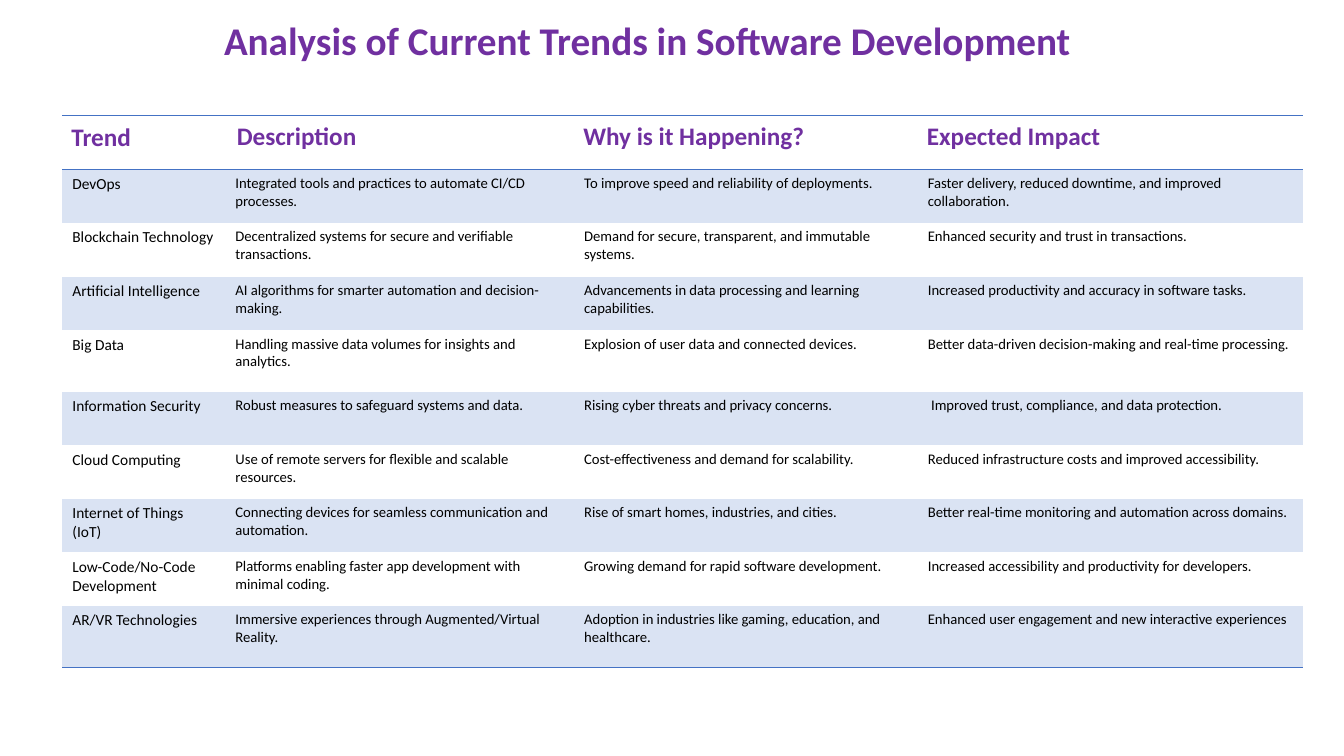
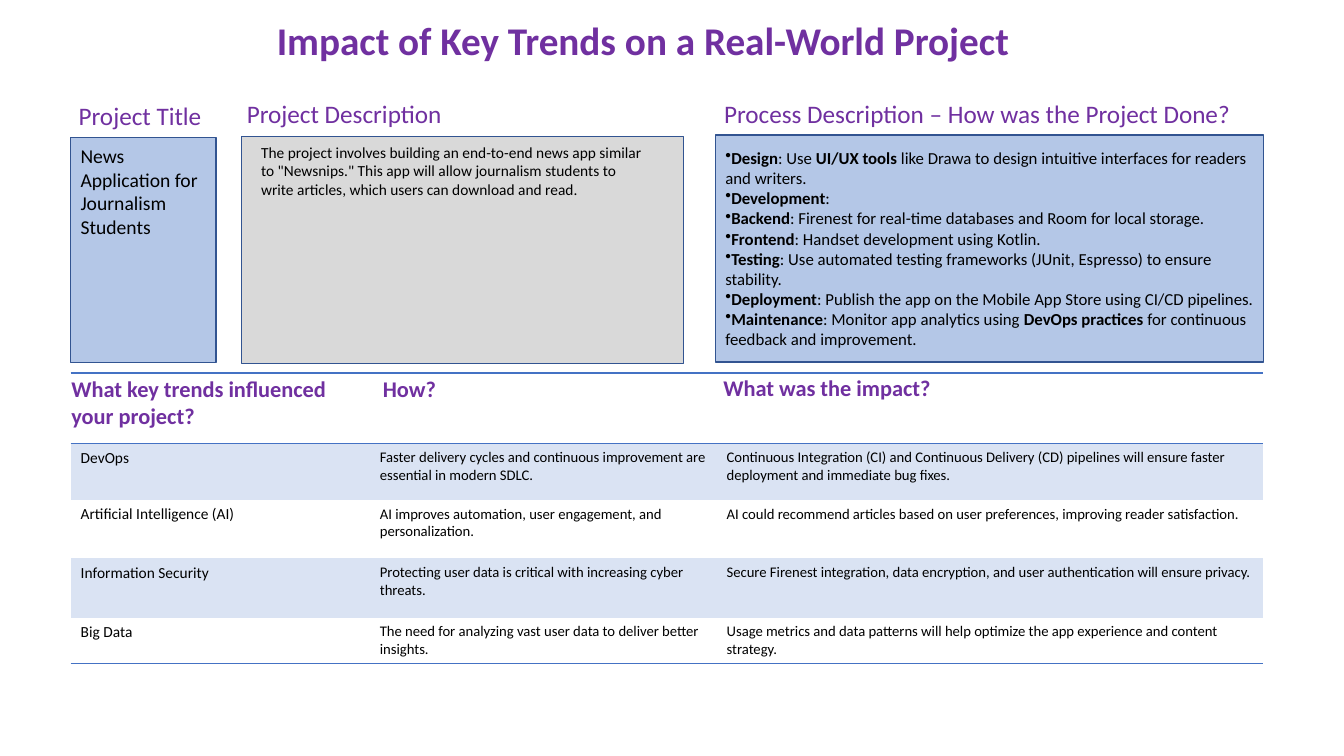
from lxml import etree
from pptx import Presentation
from pptx.dml.color import RGBColor
from pptx.enum.shapes import MSO_SHAPE
from pptx.enum.text import MSO_ANCHOR, PP_ALIGN
from pptx.oxml.ns import qn
from pptx.util import Cm, Pt

RECTANGLE = MSO_SHAPE.RECTANGLE
TOP, MIDDLE = MSO_ANCHOR.TOP, MSO_ANCHOR.MIDDLE
LEFT, CENTER = PP_ALIGN.LEFT, PP_ALIGN.CENTER

FONT = "Calibri"
PURPLE = RGBColor(0x70, 0x30, 0xA0)
BLACK = RGBColor(0x00, 0x00, 0x00)
RULE_BLUE = RGBColor(0x44, 0x72, 0xC4)
BAND_BLUE = RGBColor(0xDA, 0xE3, 0xF3)
PANEL_BLUE = RGBColor(0xB4, 0xC7, 0xE7)
PANEL_GREY = RGBColor(0xD9, 0xD9, 0xD9)
PANEL_EDGE = RGBColor(0x32, 0x54, 0x91)
PLAIN_TABLE_STYLE = "{2D5ABB26-0587-4C30-8999-92F81FD0307C}"

# Slide 1 content: heading text with left, top and width in cm
TREND_HEADINGS = [
    ("Trend", 1.55, 2.92, 3.15),
    ("Description", 5.72, 2.9, 3.91),
    ("Why is it Happening?", 14.45, 2.9, 6.96),
    ("Expected Impact", 23.11, 2.9, 6.15),
]
TRENDS = [
    ("DevOps",
     "Integrated tools and practices to automate CI/CD processes.",
     "To improve speed and reliability of deployments.",
     "Faster delivery, reduced downtime, and improved collaboration."),
    ("Blockchain Technology",
     "Decentralized systems for secure and verifiable transactions.",
     "Demand for secure, transparent, and immutable systems.",
     "Enhanced security and trust in transactions."),
    ("Artificial Intelligence",
     "AI algorithms for smarter automation and decision-making.",
     "Advancements in data processing and learning capabilities.",
     "Increased productivity and accuracy in software tasks."),
    ("Big Data",
     "Handling massive data volumes for insights and analytics.",
     "Explosion of user data and connected devices.",
     "Better data-driven decision-making and real-time processing."),
    ("Information Security",
     "Robust measures to safeguard systems and data.",
     "Rising cyber threats and privacy concerns.",
     " Improved trust, compliance, and data protection."),
    ("Cloud Computing",
     "Use of remote servers for flexible and scalable resources.",
     "Cost-effectiveness and demand for scalability.",
     "Reduced infrastructure costs and improved accessibility."),
    ("Internet of Things (IoT)",
     "Connecting devices for seamless communication and automation.",
     "Rise of smart homes, industries, and cities.",
     "Better real-time monitoring and automation across domains."),
    ("Low-Code/No-Code Development",
     "Platforms enabling faster app development with minimal coding.",
     "Growing demand for rapid software development.",
     "Increased accessibility and productivity for developers."),
    ("AR/VR Technologies",
     "Immersive experiences through Augmented/Virtual Reality.",
     "Adoption in industries like gaming, education, and healthcare.",
     "Enhanced user engagement and new interactive experiences"),
]

# Slide 2 content
PROJECT_LABELS = [
    ("Project Title", 1.5, 2.41, 4.06),
    ("Project Description", 5.79, 2.36, 5.77),
    ("Process Description – How was the Project Done?", 17.83, 2.36, 13.59),
]
PROJECT_DESCRIPTION = (
    'The project involves building an end-to-end news app similar to "Newsnips." '
    "This app will allow journalism students to write articles, which users can "
    "download and read.")
# Each step alternates bold and regular spans, bold first
PROCESS_STEPS = [
    ("Design", ": Use ", "UI/UX tools",
     " like Drawa to design intuitive interfaces for readers and writers."),
    ("Development", ":"),
    ("Backend", ": Firenest for real-time databases and Room for local storage."),
    ("Frontend", ": Handset development using Kotlin."),
    ("Testing", ": Use automated testing frameworks (JUnit, Espresso) to ensure stability."),
    ("Deployment", ": Publish the app on the Mobile App Store using CI/CD pipelines."),
    ("Maintenance", ": Monitor app analytics using ", "DevOps practices",
     " for continuous feedback and improvement."),
]
IMPACT_HEADINGS = [
    ("What key trends influenced your project?", 1.55, 9.32, 7.85),
    ("How?", 9.4, 9.32, 6.96),
    ("What was the impact?", 17.98, 9.3, 6.96),
]
IMPACTS = [
    ("DevOps",
     "Faster delivery cycles and continuous improvement are essential in modern SDLC.",
     "Continuous Integration (CI) and Continuous Delivery (CD) pipelines will ensure "
     "faster deployment and immediate bug fixes."),
    ("Artificial Intelligence (AI)",
     "AI improves automation, user engagement, and personalization.",
     "AI could recommend articles based on user preferences, improving reader "
     "satisfaction."),
    ("Information Security",
     "Protecting user data is critical with increasing cyber threats.",
     "Secure Firenest integration, data encryption, and user authentication will "
     "ensure privacy."),
    ("Big Data",
     "The need for analyzing vast user data to deliver better insights.",
     "Usage metrics and data patterns will help optimize the app experience and "
     "content strategy."),
]


def style_font(paragraph, size, color=BLACK, bold=False):
    font = paragraph.font
    font.name, font.size, font.bold = FONT, Pt(size), bold
    font.color.rgb = color


def add_text(page, text, left, top, width, height, size,
             color=BLACK, bold=False, align=LEFT):
    box = page.shapes.add_textbox(Cm(left), Cm(top), Cm(width), Cm(height))
    frame = box.text_frame
    frame.word_wrap = True
    frame.vertical_anchor = TOP
    para = frame.paragraphs[0]
    para.text = text
    para.alignment = align
    style_font(para, size, color, bold)


def add_title(page, text):
    add_text(page, text, 2.34, 0.28, 27.94, 1.45, 28, PURPLE, True, CENTER)


def add_headings(page, headings, size, bold=True, align=LEFT):
    for text, left, top, width in headings:
        add_text(page, text, left, top, width, 1.02, size, PURPLE, bold, align)


def add_panel(page, left, top, width, height, color):
    panel = page.shapes.add_shape(RECTANGLE, Cm(left), Cm(top), Cm(width), Cm(height))
    panel.shadow.inherit = False
    panel.fill.solid()
    panel.fill.fore_color.rgb = color
    panel.line.color.rgb = PANEL_EDGE
    panel.line.width = Pt(1)
    return panel


def fill_steps(panel, steps):
    frame = panel.text_frame
    frame.word_wrap = True
    frame.vertical_anchor = MIDDLE
    for index, step in enumerate(steps):
        para = frame.add_paragraph() if index else frame.paragraphs[0]
        para.alignment = LEFT
        style_font(para, 12)
        bullet = etree.Element(qn("a:buChar"), char="•")
        para._p.get_or_add_pPr().insert(0, bullet)
        for position, text in enumerate(step):
            span = para.add_run()
            span.text = text
            span.font.bold = position % 2 == 0


def add_rule(cell, side):
    """Draw a thin blue border; side is lnT or lnB."""
    line = etree.Element(qn(f"a:{side}"), w=str(Pt(1)))
    fill = etree.SubElement(line, qn("a:solidFill"))
    etree.SubElement(fill, qn("a:srgbClr"), val=str(RULE_BLUE))
    properties = cell._tc.get_or_add_tcPr()
    # Borders come before the fill, in the order top, bottom
    borders = [child for child in properties if child.tag == qn("a:lnT")]
    properties.insert(len(borders), line)


def add_banded_table(page, left, top, widths, heights, rows):
    """Table with an open heading row, tinted odd rows and horizontal rules."""
    frame = page.shapes.add_table(len(heights), len(widths), Cm(left), Cm(top),
                                  Cm(sum(widths)), Cm(sum(heights)))
    table = frame.table
    table.first_row = table.horz_banding = False
    table._tbl.tblPr.find(qn("a:tableStyleId")).text = PLAIN_TABLE_STYLE
    for column, width in zip(table.columns, widths):
        column.width = Cm(width)
    for row, height in zip(table.rows, heights):
        row.height = Cm(height)

    for row_index in range(len(heights)):
        for column_index in range(len(widths)):
            cell = table.cell(row_index, column_index)
            if row_index % 2:
                cell.fill.solid()
                cell.fill.fore_color.rgb = BAND_BLUE
            else:
                cell.fill.background()
            if row_index == 0:
                add_rule(cell, "lnT")
            else:
                para = cell.text_frame.paragraphs[0]
                para.text = rows[row_index - 1][column_index]
                style_font(para, 10.5 if column_index else 11)
            if row_index in (0, len(rows)):
                add_rule(cell, "lnB")


def build_trends(page):
    add_title(page, "Analysis of Current Trends in Software Development")
    add_headings(page, TREND_HEADINGS, 18)
    # The Big Data row and the last row are taller
    heights = [1.55 if index in (4, 9) else 1.35 for index in range(10)]
    add_banded_table(page, 1.57, 2.92, [4.11, 8.79, 8.66, 9.7], heights, TRENDS)


def build_project(page):
    add_title(page, "Impact of Key Trends on a Real-World Project ")

    # Project panels
    add_headings(page, PROJECT_LABELS, 18, bold=False, align=CENTER)
    add_panel(page, 1.78, 3.46, 3.67, 5.67, PANEL_BLUE)
    add_text(page, "News Application for Journalism Students",
             1.78, 3.51, 3.67, 2.64, 14)
    add_panel(page, 6.08, 3.44, 11.15, 5.72, PANEL_GREY)
    add_text(page, PROJECT_DESCRIPTION, 6.33, 3.48, 10.36, 1.68, 11)
    process = add_panel(page, 18.03, 3.4, 13.82, 5.72, PANEL_BLUE)
    fill_steps(process, PROCESS_STEPS)

    # Influence of the trends
    add_headings(page, IMPACT_HEADINGS, 16)
    add_banded_table(page, 1.78, 9.4, [7.54, 8.74, 13.77],
                     [1.78, 1.42, 1.47, 1.5, 1.14], IMPACTS)


def main():
    deck = Presentation()
    deck.slide_width, deck.slide_height = Cm(33.87), Cm(19.05)
    blank = deck.slide_layouts[6]
    for build in (build_trends, build_project):
        build(deck.slides.add_slide(blank))
    deck.save("out.pptx")


if __name__ == "__main__":
    main()
